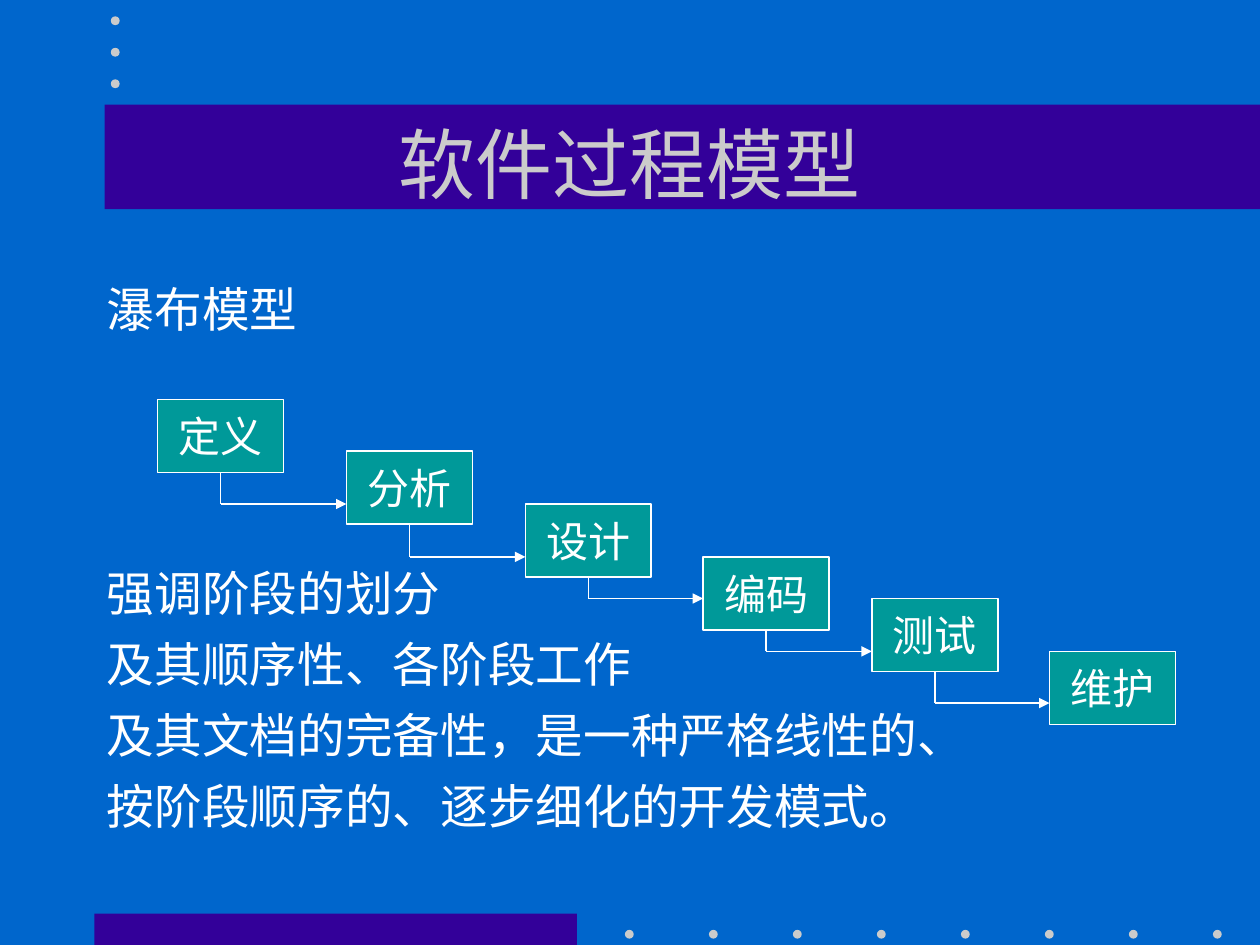
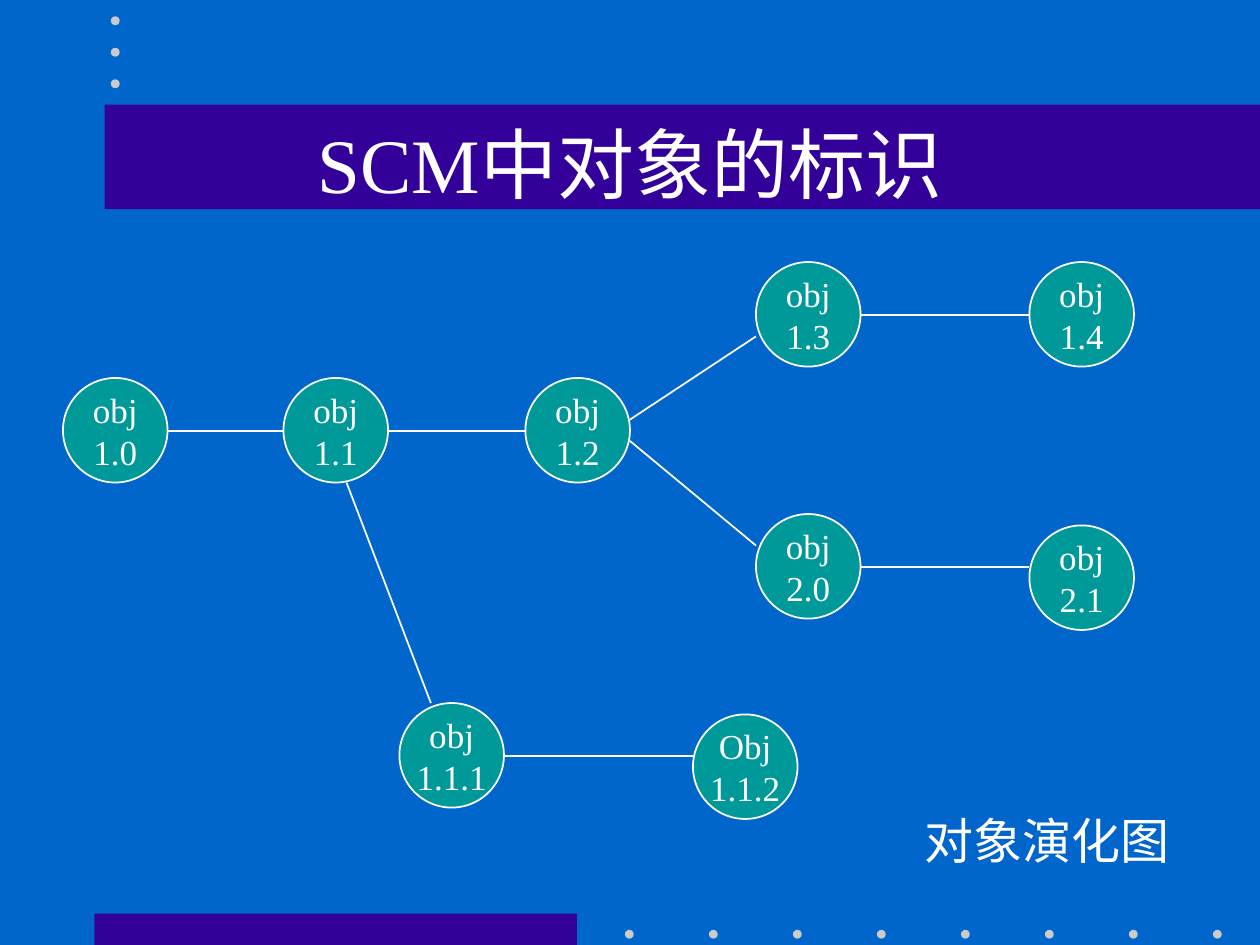
"""Build two slides on software process models and object identification."""
from typing import NamedTuple

from lxml.etree import SubElement
from pptx import Presentation
from pptx.dml.color import RGBColor
from pptx.enum.shapes import MSO_CONNECTOR as Connector, MSO_SHAPE as Preset
from pptx.enum.text import MSO_ANCHOR as Anchor, MSO_AUTO_SIZE as AutoSize, PP_ALIGN as Align
from pptx.oxml.ns import qn
from pptx.util import Inches, Pt

BLUE = RGBColor(0x00, 0x66, 0xCC)
PURPLE = RGBColor(0x33, 0x00, 0x99)
TEAL = RGBColor(0x00, 0x99, 0x99)
GREY = RGBColor(0xCB, 0xCB, 0xCB)
WHITE = RGBColor(0xFF, 0xFF, 0xFF)
FONT = "Times New Roman"
DOT_SIZE = 0.07
STAGE_WIDTH, STAGE_HEIGHT = 1, 0.58
NODE_SIZE = 0.83
BODY_SIZE = 27.2
BODY_GAP = 8
DIAGRAM_GAP = 129.7


class Stage(NamedTuple):
    left: float
    top: float
    name: str


class Version(NamedTuple):
    left: float
    top: float
    label: str


class Segment(NamedTuple):
    x1: float
    y1: float
    x2: float
    y2: float


STAGES = [
    Stage(1.25, 3.17, "定义"),
    Stage(2.75, 3.58, "分析"),
    Stage(4.17, 4, "设计"),
    Stage(5.58, 4.42, "编码"),
    Stage(6.92, 4.75, "测试"),
    Stage(8.33, 5.17, "维护"),
]
ELBOW_LEVELS = [4, 4.42, 4.75, 5.17, 5.58]
WATERFALL_TEXT = [
    "瀑布模型",
    "强调阶段的划分",
    "及其顺序性、各阶段工作",
    "及其文档的完备性，是一种严格线性的、",
    "按阶段顺序的、逐步细化的开发模式。",
]
VERSIONS = [
    Version(0.5, 3, "obj\n1.0"),
    Version(2.25, 3, "obj\n1.1"),
    Version(4.17, 3, "obj\n1.2"),
    Version(6, 2.08, "obj\n1.3"),
    Version(8.17, 2.08, "obj\n1.4"),
    Version(6, 4.08, "obj\n2.0"),
    Version(8.17, 4.17, "obj\n2.1"),
    Version(3.17, 5.58, "obj\n1.1.1"),
    Version(5.5, 5.67, "Obj\n1.1.2"),
]
EVOLUTION_LINKS = [
    Segment(1.33, 3.42, 2.25, 3.42),
    Segment(3.08, 3.42, 4.17, 3.42),
    Segment(5, 3.33, 6, 2.67),
    Segment(6.83, 2.5, 8.17, 2.5),
    Segment(5, 3.5, 6, 4.33),
    Segment(6.83, 4.5, 8.17, 4.5),
    Segment(2.75, 3.83, 3.42, 5.58),
    Segment(4, 6, 5.5, 6),
]


def write_text(shape, text: str, *, size: float, color: RGBColor = WHITE,
               align=Align.LEFT, anchor=Anchor.TOP, wrap: bool = False,
               gaps: tuple = ()) -> None:
    """Fill a shape with text, one paragraph a line, with gaps before later ones."""
    frame = shape.text_frame
    frame.text = text
    frame.auto_size = AutoSize.NONE
    frame.word_wrap = wrap
    frame.vertical_anchor = anchor
    frame.margin_left = frame.margin_right = Inches(0.1)
    frame.margin_top = frame.margin_bottom = Inches(0.05)
    for para in frame.paragraphs:
        para.alignment = align
        for span in para.runs:
            span.font.name = FONT
            span.font.size = Pt(size)
            span.font.color.rgb = color
    for para, gap in zip(frame.paragraphs[1:], gaps):
        para.space_before = Pt(gap)


def add_box(page, preset, left: float, top: float, width: float, height: float,
            fill: RGBColor, outlined: bool = False):
    """Add a flat preset shape, optionally with a white outline."""
    box = page.shapes.add_shape(preset, Inches(left), Inches(top), Inches(width), Inches(height))
    box.shadow.inherit = False
    box.fill.solid()
    box.fill.fore_color.rgb = fill
    if outlined:
        box.line.color.rgb = WHITE
        box.line.width = Pt(1)
    else:
        box.line.fill.background()
    return box


def add_segment(page, segment: Segment, arrow: bool = False) -> None:
    """Add a straight white line, optionally with an arrowhead at its end."""
    link = page.shapes.add_connector(Connector.STRAIGHT, *map(Inches, segment))
    link.line.color.rgb = WHITE
    link.line.width = Pt(1)
    if arrow:
        SubElement(link.line._get_or_add_ln(), qn("a:tailEnd"), type="triangle")
    SubElement(link.element.spPr, qn("a:effectLst"))


def add_text_box(page, left: float, top: float, width: float, height: float,
                 text: str, **style) -> None:
    """Add a text box with formatted text."""
    box = page.shapes.add_textbox(Inches(left), Inches(top), Inches(width), Inches(height))
    write_text(box, text, **style)


def decorate_layout(layout, page) -> None:
    """Draw the shared bands and dots and move them behind the layout's placeholders."""
    layout.background.fill.solid()
    layout.background.fill.fore_color.rgb = BLUE
    footer_dots = [(4.96 + column * 2 / 3, 7.38) for column in range(8)]
    corner_dots = [(0.88, 0.13 + row * 0.25) for row in range(3)]
    decorations = [
        add_box(page, Preset.RECTANGLE, 0.75, 7.25, 3.83, 0.25, PURPLE),
        add_box(page, Preset.RECTANGLE, 0.83, 0.83, 9.17, 0.83, PURPLE),
    ]
    decorations += [add_box(page, Preset.OVAL, left, top, DOT_SIZE, DOT_SIZE, GREY)
                    for left, top in footer_dots + corner_dots]
    for position, decoration in enumerate(decorations, start=2):
        layout.shapes.element.insert(position, decoration.element)


def set_title(page, text: str, color: RGBColor) -> None:
    """Place and format the title placeholder."""
    title = page.shapes.title
    title.left, title.top = Inches(0.75), Inches(0.67)
    title.width, title.height = Inches(8.5), Inches(1.25)
    write_text(title, text, size=44, color=color, align=Align.CENTER,
               anchor=Anchor.MIDDLE, wrap=True)


def build_waterfall(page) -> None:
    """Build the waterfall model slide."""
    set_title(page, "软件过程模型", GREY)
    add_text_box(page, 0.75, 2.17, 8.5, 4.5, "\n".join(WATERFALL_TEXT), size=BODY_SIZE,
                 wrap=True, gaps=(DIAGRAM_GAP, BODY_GAP, BODY_GAP, BODY_GAP))
    for stage in STAGES:
        box = add_box(page, Preset.RECTANGLE, stage.left, stage.top,
                      STAGE_WIDTH, STAGE_HEIGHT, TEAL, outlined=True)
        write_text(box, stage.name, size=24, align=Align.CENTER, anchor=Anchor.MIDDLE)
    for stage, following, level in zip(STAGES, STAGES[1:], ELBOW_LEVELS):
        center = stage.left + STAGE_WIDTH / 2
        add_segment(page, Segment(center, stage.top + STAGE_HEIGHT, center, level))
        add_segment(page, Segment(center, level, following.left, level), arrow=True)


def build_evolution(page) -> None:
    """Build the object evolution slide."""
    set_title(page, "SCM中对象的标识", WHITE)
    for version in VERSIONS:
        node = add_box(page, Preset.OVAL, version.left, version.top,
                       NODE_SIZE, NODE_SIZE, TEAL, outlined=True)
        write_text(node, version.label, size=20, align=Align.CENTER, anchor=Anchor.MIDDLE)
    for link in EVOLUTION_LINKS:
        add_segment(page, link)
    add_text_box(page, 7.24, 6.38, 2.14, 0.57, "对象演化图", size=28)


def main() -> None:
    """Create and save the deck."""
    deck = Presentation()
    deck.slide_width, deck.slide_height = Inches(10), Inches(7.5)
    layout = deck.slide_layouts[5]
    waterfall, evolution = (deck.slides.add_slide(layout) for _ in range(2))
    decorate_layout(layout, waterfall)
    build_waterfall(waterfall)
    build_evolution(evolution)
    deck.save("out.pptx")


if __name__ == "__main__":
    main()
